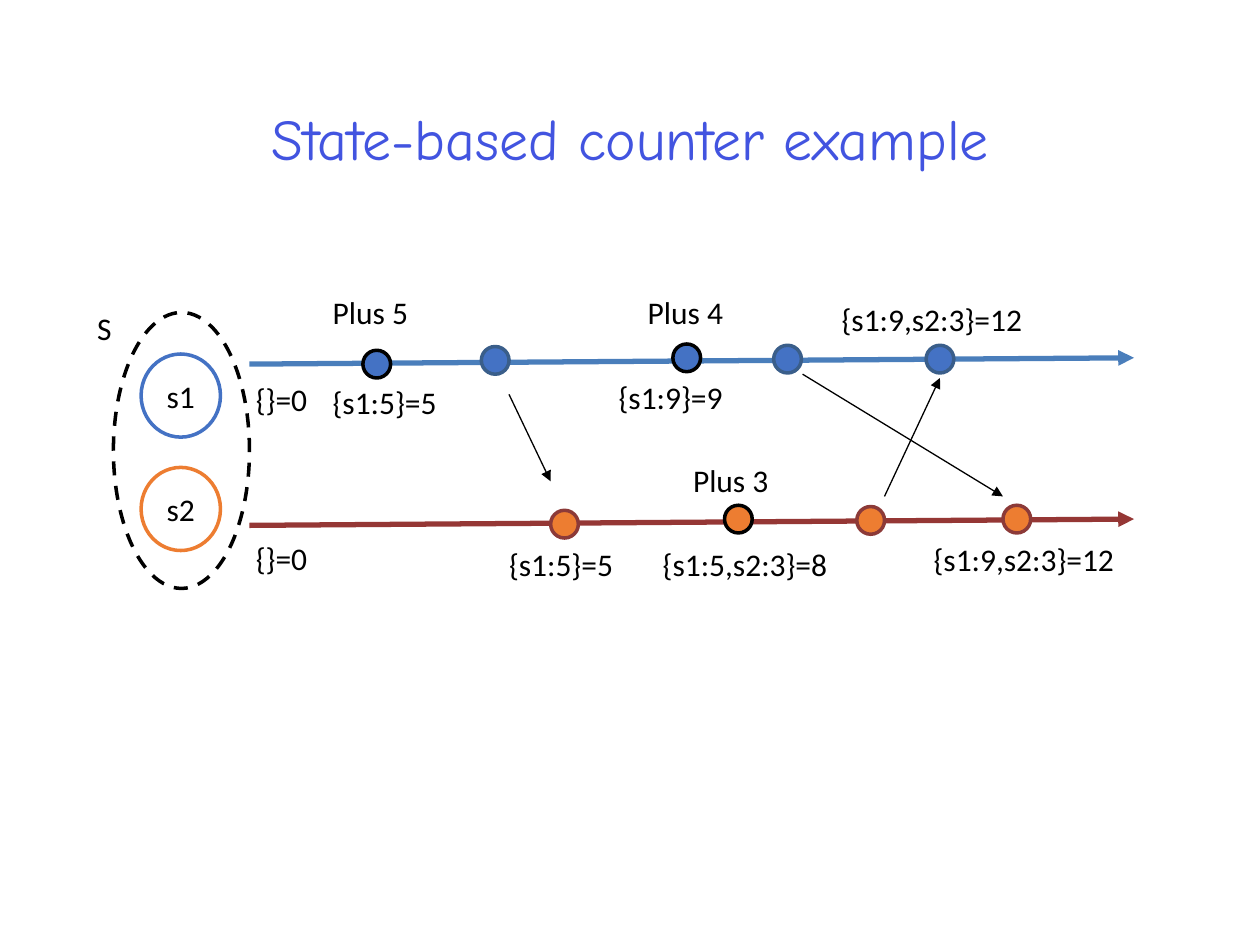
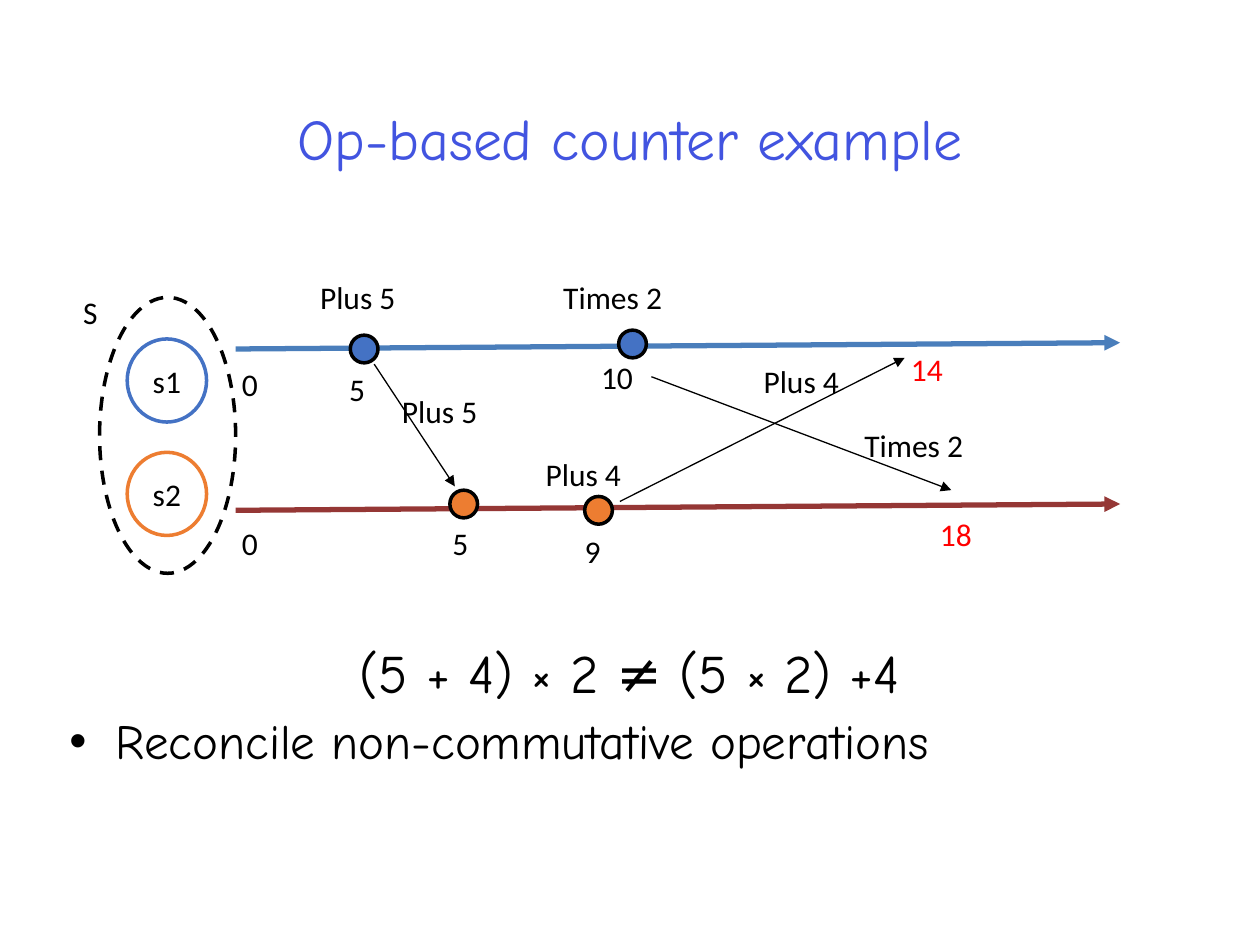
import pptx
import pptx.dml.color
import pptx.enum.dml
import pptx.enum.shapes
import pptx.enum.text
import pptx.oxml.ns
import pptx.oxml.xmlchemy
import pptx.util

RGBColor = pptx.dml.color.RGBColor
Inches = pptx.util.Inches
Pt = pptx.util.Pt
ALIGN = pptx.enum.text.PP_ALIGN
ANCHOR = pptx.enum.text.MSO_ANCHOR
qn = pptx.oxml.ns.qn
OxmlElement = pptx.oxml.xmlchemy.OxmlElement

# Colours
WHITE = RGBColor(0xFF, 0xFF, 0xFF)
BLACK = RGBColor(0x00, 0x00, 0x00)
RED = RGBColor(0xFF, 0x00, 0x00)
TITLE_BLUE = RGBColor(0x42, 0x54, 0xE0)
BLUE = RGBColor(0x44, 0x72, 0xC4)
ORANGE = RGBColor(0xED, 0x7D, 0x31)
BLUE_EDGE = RGBColor(0x3A, 0x5E, 0x8A)
ORANGE_EDGE = RGBColor(0x8C, 0x3A, 0x38)
BLUE_TIMELINE = RGBColor(0x4A, 0x7E, 0xBB)
RED_TIMELINE = RGBColor(0x95, 0x37, 0x35)

# Shared text formats
INSET = Inches(0.05)
FRAME = {"margin_left": INSET, "margin_right": INSET,
         "margin_top": INSET, "margin_bottom": INSET}
TITLE_FONT = {"name": "Comic Neue", "size": Pt(33)}
FORMULA_FONT = {"name": "Comic Neue", "size": Pt(31)}
BULLET_FONT = {"name": "Comic Neue", "size": Pt(28)}
LABEL_FONT = {"name": "Calibri", "size": Pt(18)}

DOT_SIZE = 0.22
LABEL_HEIGHT = 0.41
# Label width by number of characters
LABEL_WIDTHS = {1: 0.25, 2: 0.39, 4: 0.58, 6: 0.79, 7: 0.99, 8: 1.06, 13: 1.6, 14: 1.74}


def set_format(target, values):
    for name, value in values.items():
        setattr(target, name, value)


def write(paragraph, text, font, color=BLACK, **values):
    set_format(paragraph, values)
    run = paragraph.add_run()
    run.text = text
    set_format(run.font, font)
    run.font.color.rgb = color


def add_text_frame(slide, left, top, width, height, **values):
    box = slide.shapes.add_textbox(Inches(left), Inches(top), Inches(width), Inches(height))
    set_format(box.text_frame, FRAME | {"word_wrap": True} | values)
    return box.text_frame


def add_title(slide, text):
    frame = add_text_frame(slide, 0.69, 0.4, 8.62, 1.45, vertical_anchor=ANCHOR.MIDDLE)
    write(frame.paragraphs[0], text, TITLE_FONT, TITLE_BLUE,
          alignment=ALIGN.CENTER, line_spacing=0.9)


def add_label(slide, text, left, top, color=BLACK):
    frame = add_text_frame(slide, left, top, LABEL_WIDTHS[len(text)], LABEL_HEIGHT,
                           word_wrap=False,
                           auto_size=pptx.enum.text.MSO_AUTO_SIZE.SHAPE_TO_FIT_TEXT)
    write(frame.paragraphs[0], text, LABEL_FONT, color)


def add_ellipse(slide, left, top, width, height, fill, edge):
    shape = slide.shapes.add_shape(pptx.enum.shapes.MSO_SHAPE.OVAL, Inches(left),
                                   Inches(top), Inches(width), Inches(height))
    shape.shadow.inherit = False
    shape.fill.solid()
    shape.fill.fore_color.rgb = fill
    shape.line.color.rgb = edge
    shape.line.width = Pt(2)
    return shape


def add_dot(slide, left, top, fill, edge=BLACK):
    add_ellipse(slide, left, top, DOT_SIZE, DOT_SIZE, fill, edge)


def add_arrow(slide, start, end, color=BLACK, width=0.75):
    points = [Inches(value) for value in (*start, *end)]
    arrow = slide.shapes.add_connector(pptx.enum.shapes.MSO_CONNECTOR.STRAIGHT, *points)
    arrow.line.color.rgb = color
    arrow.line.width = Pt(width)
    properties = arrow._element.spPr
    line = properties.find(qn("a:ln"))
    head = OxmlElement("a:tailEnd")
    head.set("type", "triangle")
    line.append(head)
    properties.append(OxmlElement("a:effectLst"))


def add_replicas(slide, left, top, initial):
    """Draw the set S, its two servers, their timelines and initial states."""
    outline = add_ellipse(slide, left, top, 1.08, 2.19, WHITE, BLACK)
    outline.line.dash_style = pptx.enum.dml.MSO_LINE.DASH
    servers = (("s1", BLUE, BLUE_TIMELINE, 0.33, 0.41, 0.49),
               ("s2", ORANGE, RED_TIMELINE, 1.23, 1.69, 1.75))
    for name, edge, color, server_top, line_top, state_top in servers:
        server = add_ellipse(slide, left + 0.22, top + server_top, 0.63, 0.66, WHITE, edge)
        set_format(server.text_frame, FRAME | {"word_wrap": False,
                                               "vertical_anchor": ANCHOR.MIDDLE})
        write(server.text_frame.paragraphs[0], name, LABEL_FONT, alignment=ALIGN.CENTER)
        add_arrow(slide, (left + 1.08, top + line_top),
                  (left + 8.1, top + line_top - 0.05), color, 3)
        add_label(slide, initial, left + 1.08, top + state_top)
    add_label(slide, "S", left - 0.18, top - 0.08)


def add_conclusion(slide, formula, bullet):
    frame = add_text_frame(slide, 0.5, 5.08, 9, 1.71)
    spacing = {"line_spacing": 0.9, "space_before": Pt(7)}
    write(frame.paragraphs[0], formula, FORMULA_FONT, alignment=ALIGN.CENTER, **spacing)
    paragraph = frame.add_paragraph()
    write(paragraph, bullet, BULLET_FONT, **spacing)
    properties = paragraph._p.get_or_add_pPr()
    properties.set("marL", str(Inches(0.37)))
    properties.set("indent", str(-Inches(0.37)))
    font = OxmlElement("a:buFont")
    font.set("typeface", "Arial")
    mark = OxmlElement("a:buChar")
    mark.set("char", "•")
    properties.extend([font, mark])


def add_events(slide, messages, dots, labels):
    for start, end in messages:
        add_arrow(slide, start, end)
    for dot in dots:
        add_dot(slide, *dot)
    for label in labels:
        add_label(slide, *label)


def add_state_slide(slide):
    add_title(slide, "State-based counter example")
    add_replicas(slide, 0.9, 2.48, "{}=0")
    messages = [((4.04, 3.13), (4.37, 3.82)),
                ((6.37, 2.97), (7.96, 3.94)),
                ((7.02, 3.94), (7.46, 3))]
    dots = [(2.88, 2.78, BLUE), (3.82, 2.75, BLUE, BLUE_EDGE),
            (5.34, 2.73, BLUE), (6.14, 2.74, BLUE, BLUE_EDGE),
            (7.35, 2.74, BLUE, BLUE_EDGE),
            (4.37, 4.05, ORANGE, ORANGE_EDGE), (5.75, 4.01, ORANGE),
            (6.8, 4.02, ORANGE, ORANGE_EDGE), (7.96, 4.01, ORANGE, ORANGE_EDGE)]
    labels = [("Plus 5", 2.59, 2.28), ("{s1:5}=5", 2.59, 2.99),
              ("Plus 4", 5.09, 2.28), ("{s1:9}=9", 4.86, 2.95),
              ("{s1:9,s2:3}=12", 6.63, 2.33),
              ("{s1:5}=5", 3.99, 4.28), ("Plus 3", 5.45, 3.61),
              ("{s1:5,s2:3}=8", 5.21, 4.28), ("{s1:9,s2:3}=12", 7.36, 4.24)]
    add_events(slide, messages, dots, labels)


def add_operation_slide(slide):
    add_title(slide, "Op-based counter example")
    add_conclusion(slide, "(5 + 4) × 2 ≠ (5 × 2) +4",
                   "Reconcile non-commutative operations")
    add_replicas(slide, 0.79, 2.36, "0")
    messages = [((2.97, 2.89), (3.61, 3.86)),
                ((5.17, 2.99), (7.55, 3.89)),
                ((4.92, 3.98), (7.18, 2.84))]
    dots = [(2.78, 2.66, BLUE), (4.91, 2.62, BLUE),
            (3.57, 3.89, ORANGE), (4.64, 3.94, ORANGE)]
    labels = [("Plus 5", 2.49, 2.16), ("5", 2.72, 2.89),
              ("Times 2", 4.42, 2.16), ("10", 4.72, 2.79),
              ("5", 3.54, 4.11), ("Plus 4", 4.28, 3.56), ("9", 4.59, 4.17),
              ("Plus 5", 3.14, 3.06), ("Times 2", 6.81, 3.33), ("Plus 4", 6.01, 2.82),
              ("14", 7.18, 2.73, RED), ("18", 7.41, 4.04, RED)]
    add_events(slide, messages, dots, labels)


def main():
    presentation = pptx.Presentation()
    set_format(presentation, {"slide_width": Inches(10), "slide_height": Inches(7.5)})
    blank = presentation.slide_layouts[6]
    for build in (add_state_slide, add_operation_slide):
        build(presentation.slides.add_slide(blank))
    presentation.save("out.pptx")


if __name__ == "__main__":
    main()
